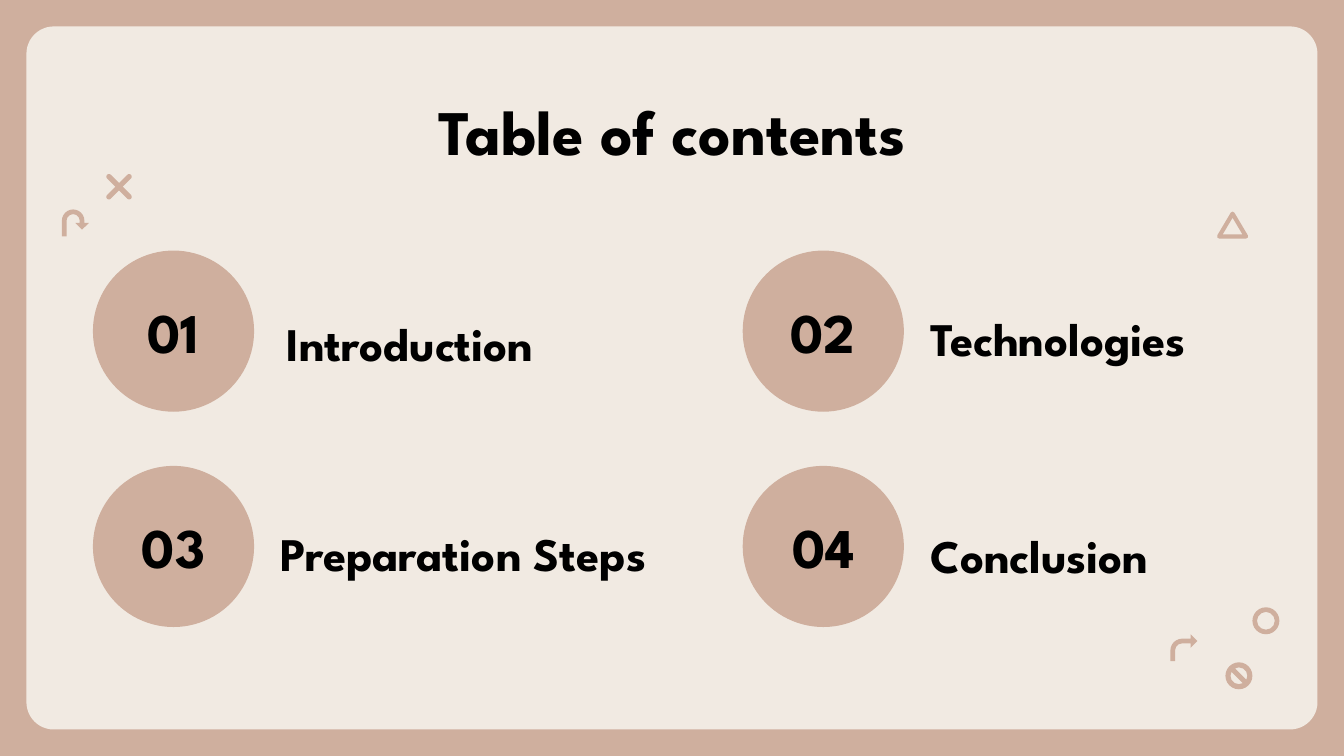
from lxml.etree import SubElement
from pptx import Presentation
from pptx.dml.color import RGBColor
from pptx.enum.shapes import MSO_SHAPE as Preset
from pptx.enum.text import MSO_ANCHOR as Anchor, PP_ALIGN as Align
from pptx.oxml.ns import qn
from pptx.util import Cm, Pt

CLAY, CREAM, INK = "CFAF9E", "F1EAE2", "000000"
WIDTH, HEIGHT = 25.4, 14.29


def paint(target, color):
    """Give a fill a solid colour from a hex string."""
    target.solid()
    target.fore_color.rgb = RGBColor.from_string(color)


def add_preset(slide, preset, box, fill=CLAY, line=None, adjust=(), rotation=0):
    """Place a shadowless preset shape in a box given in centimetres."""
    shape = slide.shapes.add_shape(preset, *map(Cm, box))
    shape.shadow.inherit = False
    shape.rotation = rotation
    for index, value in enumerate(adjust):
        shape.adjustments[index] = value
    if fill:
        paint(shape.fill, fill)
    else:
        shape.fill.background()
    if line:
        paint(shape.line.fill, CLAY)
        shape.line.width = Pt(line)
    else:
        shape.line.fill.background()
    return shape


def add_words(slide, words, box, size, anchor=Anchor.TOP, **paragraph_format):
    """Place one bold line of text in a box given in centimetres."""
    frame = slide.shapes.add_textbox(*map(Cm, box)).text_frame
    frame_format = {"word_wrap": True, "vertical_anchor": anchor}
    frame_format |= {f"margin_{side}": Cm(0.25) for side in ("left", "top", "right", "bottom")}
    for name, value in frame_format.items():
        setattr(frame, name, value)
    paragraph = frame.paragraphs[0]
    for name, value in paragraph_format.items():
        setattr(paragraph, name, value)
    run = paragraph.add_run()
    run.text = words
    for name, value in {"name": "League Spartan", "size": Pt(size), "bold": True}.items():
        setattr(run.font, name, value)
    paint(run.font.fill, INK)


def add_card(slide, left, top, width, height):
    """Draw the backdrop card with its heading."""
    add_preset(slide, Preset.ROUNDED_RECTANGLE, (left, top, width, height), CREAM, adjust=[0.039])
    add_words(slide, "Table of contents", (left + 1.48, top + 1, width - 2.96, 1.78), 34,
              alignment=Align.CENTER)


def add_chapter(slide, left, top, diameter, number, topic, label_box):
    """Draw a numbered disc and the topic, whose box is relative to the disc."""
    inset = 0.48
    inner = diameter - 2 * inset
    add_preset(slide, Preset.OVAL, (left, top, diameter, diameter), line=0.75)
    add_words(slide, f"{number:02d}", (left + inset, top + inset, inner, inner), 30,
              Anchor.MIDDLE, alignment=Align.CENTER)
    dx, dy, width = label_box
    add_words(slide, topic, (left + dx, top + dy, width, 1.27), 25, Anchor.BOTTOM,
              line_spacing=1.15)


def add_contents(slide, left, top, column_step, row_step):
    """Lay the chapters out in two columns."""
    chapters = [
        ("Introduction", (3.4, 1.24, 6.93)),
        ("Technologies", (3.28, 1.14, 6.93)),
        ("Preparation Steps", (3.28, 1.14, 8.23)),
        ("Conclusion", (3.28, 1.17, 6.93)),
    ]
    for index, (topic, label_box) in enumerate(chapters):
        row, column = divmod(index, 2)
        add_chapter(slide, left + column * column_step, top + row * row_step, 3.02,
                    index + 1, topic, label_box)


def add_left_ornaments(slide, left, top):
    """Draw the cross and the U-turn arrow."""
    for angle in (45, 315):
        add_preset(slide, Preset.ROUNDED_RECTANGLE, (left + 0.76, top + 0.2, 0.64, 0.1),
                   adjust=[0.5], rotation=angle)
    add_preset(slide, Preset.U_TURN_ARROW, (left, top + 0.68, 0.51, 0.51),
               adjust=[0.174, 0.25, 0.25, 0.438, 0.75])


def add_right_ornaments(slide, left, top):
    """Draw the triangle above the ring, bent arrow and barred ring."""
    triangle = add_preset(slide, Preset.ISOSCELES_TRIANGLE, (left + 0.92, top, 0.51, 0.43),
                          fill=None, line=2.25)
    SubElement(triangle.line.fill._xPr, qn("a:round"))
    marks = [
        (Preset.DONUT, 1.55, 7.44, [0.171]),
        (Preset.BENT_ARROW, 0, 7.95, [0.174, 0.25, 0.25, 0.438]),
        (Preset.NO_SYMBOL, 1.04, 8.48, [0.188]),
    ]
    for preset, dx, dy, adjust in marks:
        add_preset(slide, preset, (left + dx, top + dy, 0.51, 0.51), adjust=adjust)


def main():
    """Build the slide and save it."""
    deck = Presentation()
    deck.slide_width, deck.slide_height = Cm(WIDTH), Cm(HEIGHT)
    slide = deck.slides.add_slide(deck.slide_layouts[6])
    paint(slide.background.fill, CLAY)
    margin = 0.5
    add_card(slide, margin, margin, WIDTH - 2 * margin, HEIGHT - 2 * margin)
    add_contents(slide, 1.77, 4.75, 12.28, 4.07)
    add_left_ornaments(slide, 1.17, 3.28)
    add_right_ornaments(slide, 22.12, 4.04)
    deck.save("out.pptx")


if __name__ == "__main__":
    main()
